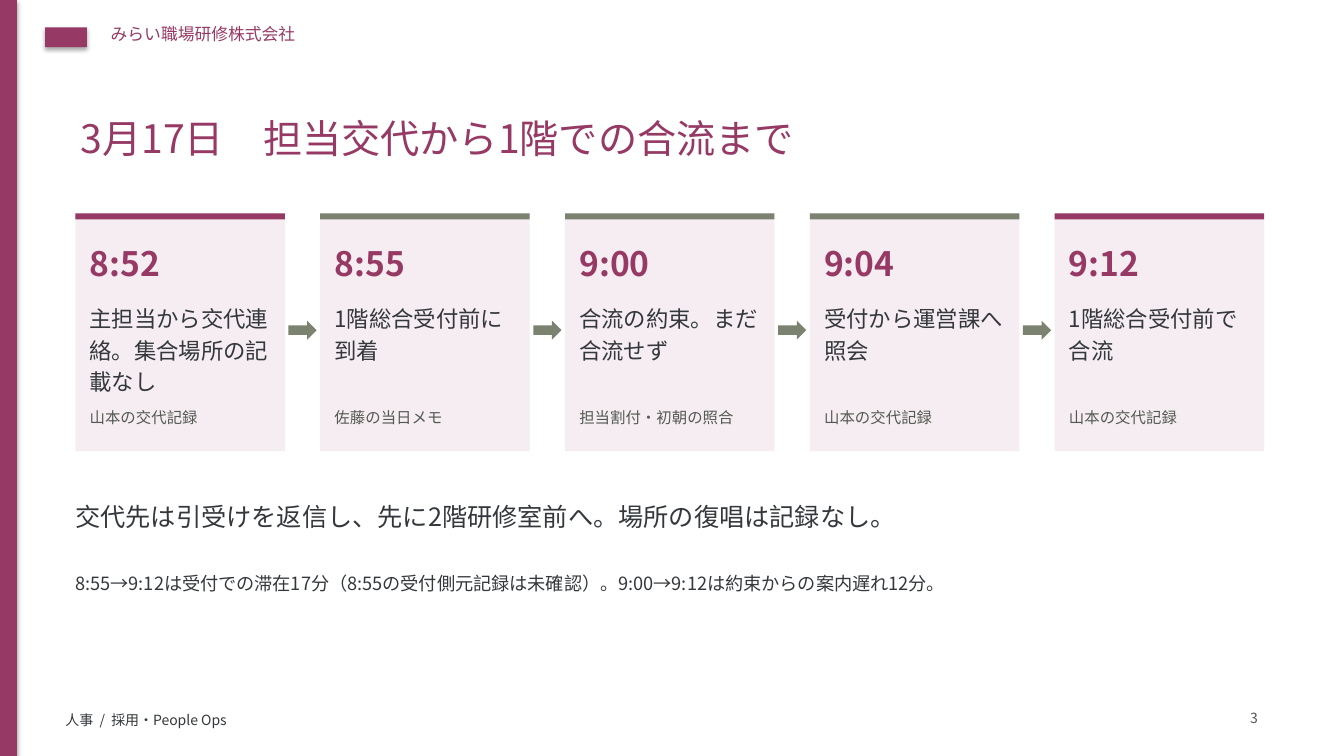
from lxml import etree
from pptx import Presentation
from pptx.dml.color import RGBColor
from pptx.enum.shapes import MSO_SHAPE
from pptx.enum.text import MSO_ANCHOR, MSO_AUTO_SIZE, PP_ALIGN
from pptx.oxml.ns import qn
from pptx.util import Cm, Pt

RECT, ARROW = MSO_SHAPE.RECTANGLE, MSO_SHAPE.RIGHT_ARROW
LEFT, RIGHT = PP_ALIGN.LEFT, PP_ALIGN.RIGHT
MIDDLE = MSO_ANCHOR.MIDDLE
GROW, FIXED = MSO_AUTO_SIZE.SHAPE_TO_FIT_TEXT, MSO_AUTO_SIZE.NONE

PLUM = RGBColor(0x96, 0x3A, 0x65)
SAGE = RGBColor(0x7B, 0x82, 0x70)
BLUSH = RGBColor(0xF5, 0xED, 0xF1)
INK = RGBColor(0x34, 0x38, 0x3C)
GREY = RGBColor(0x53, 0x59, 0x52)


class Page:
    face = "Noto Sans CJK JP"
    lead = 1.18

    def __init__(self, slide):
        self.slide = slide

    def style(self, para, size, color, bold=False, align=LEFT, lead=lead):
        para.alignment = align
        para.line_spacing = lead
        font = para.font
        font.size, font.bold, font.name = Pt(size), bold, self.face
        font.color.rgb = color
        # Japanese glyphs take the East Asian face
        props = para._p.pPr.find(qn("a:defRPr"))
        etree.SubElement(props, qn("a:ea")).set("typeface", self.face)

    def title(self, text, x, y, w, h):
        head = self.slide.shapes.title
        head.left, head.top, head.width, head.height = Cm(x), Cm(y), Cm(w), Cm(h)
        frame = head.text_frame
        frame.text = text
        frame.auto_size = FIXED
        frame.vertical_anchor = MIDDLE
        self.style(frame.paragraphs[0], 28, PLUM)

    def text(self, text, x, y, w, h, size, color, bold=False, align=LEFT):
        box = self.slide.shapes.add_textbox(Cm(x), Cm(y), Cm(w), Cm(h))
        frame = box.text_frame
        frame.margin_left = frame.margin_right = 0
        frame.margin_top = frame.margin_bottom = 0
        frame.word_wrap = True
        frame.auto_size = GROW
        frame.text = text
        self.style(frame.paragraphs[0], size, color, bold, align)

    def label(self, text, x, y, w, h, size, color):
        box = self.slide.shapes.add_textbox(Cm(x), Cm(y), Cm(w), Cm(h))
        frame = box.text_frame
        frame.word_wrap = False
        frame.auto_size = GROW
        frame.text = text
        self.style(frame.paragraphs[0], size, color, lead=1.0)

    def shape(self, kind, x, y, w, h, color, shade=False):
        item = self.slide.shapes.add_shape(kind, Cm(x), Cm(y), Cm(w), Cm(h))
        item.fill.solid()
        item.fill.fore_color.rgb = color
        item.line.fill.background()
        if not shade:
            item.shadow.inherit = False

    def card(self, x, time, event, source, accent):
        top, pad, wide = 5.38, 0.36, 4.57
        self.shape(RECT, x, top, 5.28, 5.99, BLUSH)
        self.shape(RECT, x, top, 5.28, 0.15, accent)
        self.text(time, x + pad, 5.94, wide, 1.07, 24, PLUM, bold=True)
        self.text(event, x + pad, 7.57, wide, 2.24, 16, INK)
        self.text(source, x + pad, 10.21, wide, 0.71, 11, GREY)


def main():
    deck = Presentation()
    deck.slide_width, deck.slide_height = Cm(33.87), Cm(19.05)
    page = Page(deck.slides.add_slide(deck.slide_layouts[5]))

    # Frame: side bar, mark, company and footer
    page.shape(RECT, 0, 0, 0.43, 19.05, PLUM, shade=True)
    page.shape(RECT, 1.14, 0.69, 1.05, 0.5, PLUM, shade=True)
    page.label("みらい職場研修株式会社", 2.54, 0.48, 20.32, 1.02, 12, PLUM)
    page.label("人事  /  採用・People Ops", 1.4, 17.81, 25.4, 0.76, 10, INK)
    page.text("3", 30.73, 17.81, 0.97, 0.64, 10, GREY, align=RIGHT)

    # Title
    page.title("3月17日　担当交代から1階での合流まで", 1.78, 2.29, 29.97, 2.16)

    # Timeline cards, with an arrow in each gap
    steps = [
        ("8:52", "主担当から交代連絡。集合場所の記載なし", "山本の交代記録"),
        ("8:55", "1階総合受付前に到着", "佐藤の当日メモ"),
        ("9:00", "合流の約束。まだ合流せず", "担当割付・初朝の照合"),
        ("9:04", "受付から運営課へ照会", "山本の交代記録"),
        ("9:12", "1階総合受付前で合流", "山本の交代記録"),
    ]
    left, pitch, last = 1.9, 6.17, len(steps) - 1
    for i, (time, event, source) in enumerate(steps):
        x = left + i * pitch
        page.card(x, time, event, source, PLUM if i in (0, last) else SAGE)
        if i < last:
            page.shape(ARROW, x + 5.37, 8.08, 0.71, 0.48, SAGE)

    # Findings
    page.text("交代先は引受けを返信し、先に2階研修室前へ。場所の復唱は記録なし。",
              left, 12.5, 29.97, 1.37, 18, INK)
    page.text("8:55→9:12は受付での滞在17分（8:55の受付側元記録は未確認）。"
              "9:00→9:12は約束からの案内遅れ12分。",
              left, 14.33, 29.97, 1.7, 13, INK)

    deck.save("out.pptx")


if __name__ == "__main__":
    main()
